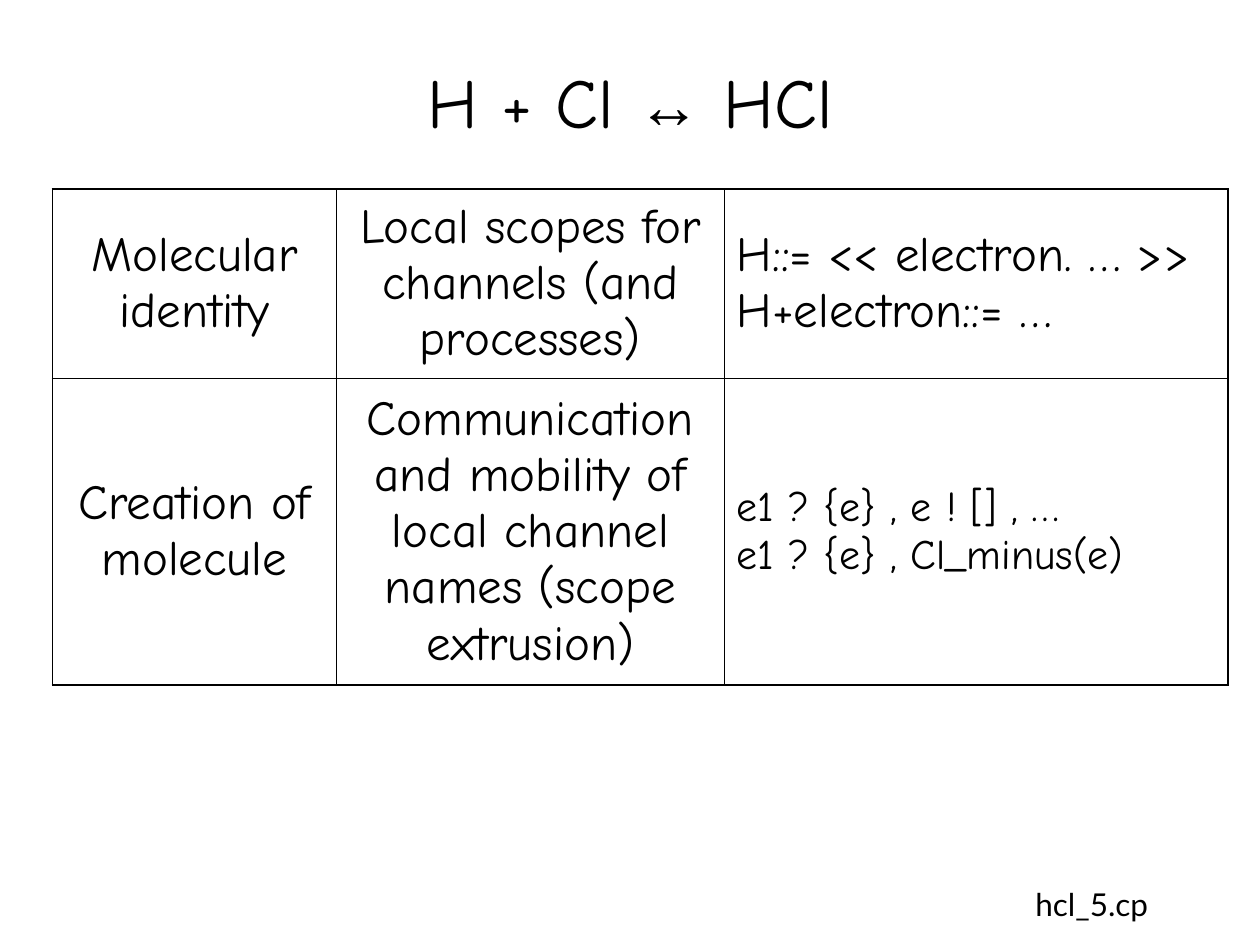
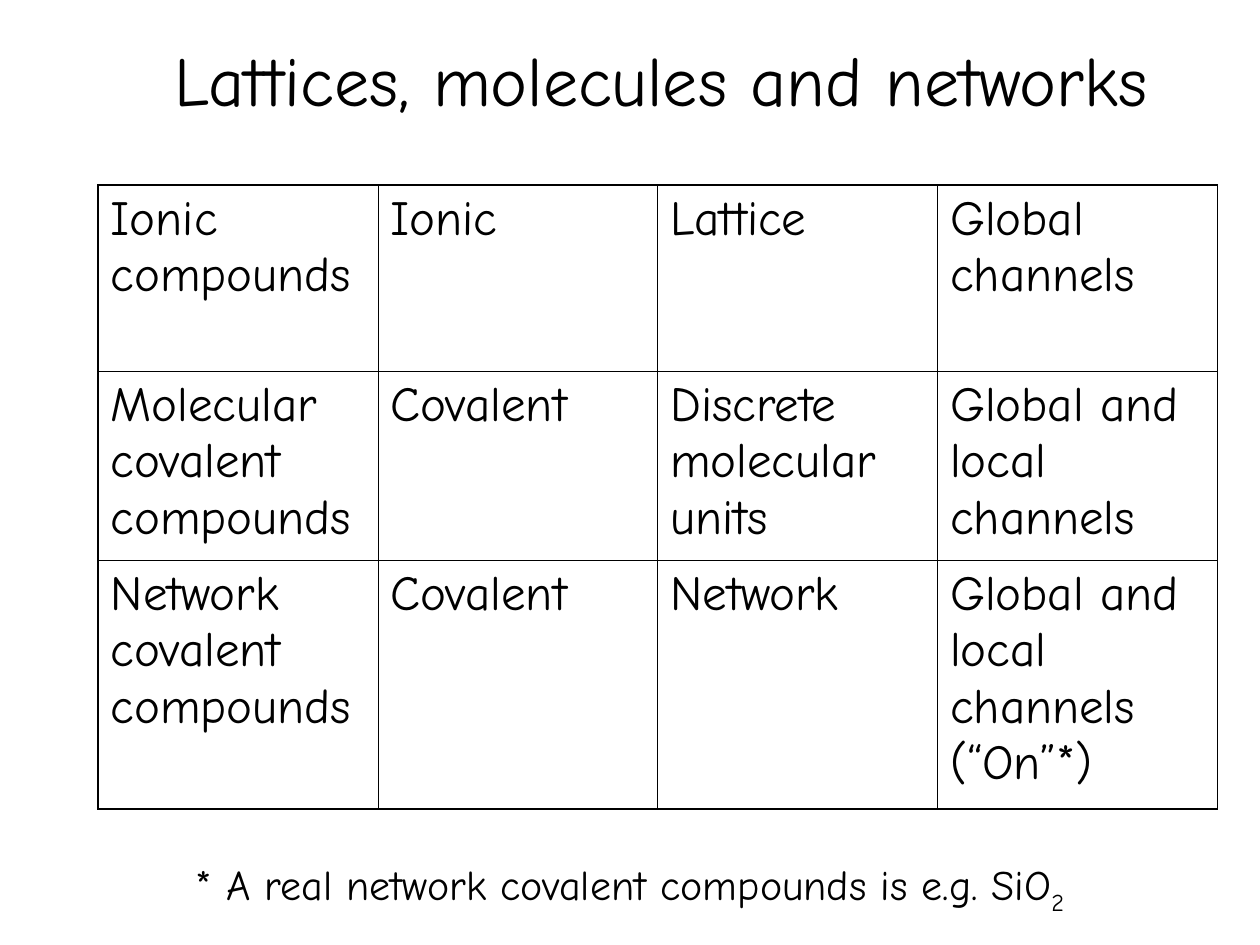
from lxml import etree
from pptx import Presentation
from pptx import util as u
from pptx.dml import color
from pptx.enum import text
from pptx.oxml import ns

BODY_FONT = "Comic Neue"
INK = "000000"
OUTER_LINE = 1.08
INNER_LINE = 0.45
LEFT, CENTER = text.PP_ALIGN.LEFT, text.PP_ALIGN.CENTER
TOP, MIDDLE = text.MSO_ANCHOR.TOP, text.MSO_ANCHOR.MIDDLE


def rgb(hex_code):
    """Turn a hex string into a colour."""
    return color.RGBColor.from_string(hex_code)


def add_run(paragraph, wording, size, font=BODY_FONT, baseline=0):
    """Append one run; baseline is in percent, negative for a subscript."""
    run = paragraph.add_run()
    run.text = wording
    run.font.name = font
    run.font.size = u.Pt(size)
    run.font.color.rgb = rgb(INK)
    if baseline:
        run._r.get_or_add_rPr().set("baseline", str(baseline * 1000))


def add_line(slide, left, top, width, height, runs):
    """Add a centred text box holding one line made of several runs."""
    box = slide.shapes.add_textbox(u.Cm(left), u.Cm(top), u.Cm(width), u.Cm(height))
    frame = box.text_frame
    frame.word_wrap = True
    frame.vertical_anchor = MIDDLE
    paragraph = frame.paragraphs[0]
    paragraph.alignment = CENTER
    for run in runs:
        add_run(paragraph, *run)


def add_title(slide, left, top, width, runs):
    """Add the slide title."""
    add_line(slide, left, top, width, 3.18, runs)


def set_borders(cell, widths):
    """Draw the left, right, top and bottom borders of a cell, in points."""
    properties = cell._tc.get_or_add_tcPr()
    for index, (side, width) in enumerate(zip("LRTB", widths)):
        line = etree.Element(ns.qn(f"a:ln{side}"), w=str(int(u.Pt(width))))
        fill = etree.SubElement(line, ns.qn("a:solidFill"))
        etree.SubElement(fill, ns.qn("a:srgbClr"), val=INK)
        properties.insert(index, line)


def fill_cell(cell, wording, size, alignment, anchor):
    """Write the lines of a cell as paragraphs on a clear background."""
    cell.fill.background()
    cell.vertical_anchor = anchor
    for index, line in enumerate(wording.split("\n")):
        frame = cell.text_frame
        paragraph = frame.add_paragraph() if index else frame.paragraphs[0]
        paragraph.alignment = alignment
        add_run(paragraph, line, size)


def add_grid(slide, left, top, widths, heights, rows, anchor):
    """Add a table with a heavy frame; each cell is wording, size, alignment."""
    table = slide.shapes.add_table(
        len(heights), len(widths), u.Cm(left), u.Cm(top),
        u.Cm(sum(widths)), u.Cm(sum(heights))).table
    table.first_row = table.horz_banding = False
    for column, width in zip(table.columns, widths):
        column.width = u.Cm(width)
    for row, height in zip(table.rows, heights):
        row.height = u.Cm(height)
    last_row, last_column = len(heights) - 1, len(widths) - 1
    for r, row in enumerate(rows):
        for c, (wording, size, alignment) in enumerate(row):
            cell = table.cell(r, c)
            fill_cell(cell, wording, size, alignment, anchor)
            on_frame = (c == 0, c == last_column, r == 0, r == last_row)
            set_borders(cell, [OUTER_LINE if outer else INNER_LINE
                               for outer in on_frame])


def build_reaction(slide):
    """Build the slide on forming the HCl molecule."""
    add_title(slide, 1.9, 0.43, 21.6,
              [("H + Cl ", 40), ("↔", 36, "Arial"), (" HCl", 40)])
    rows = [
        [("Molecular identity", 28, CENTER),
         ("Local scopes for channels (and processes)", 28, CENTER),
         ("H::= << electron. … >>\nH+electron::= …", 28, LEFT)],
        [("Creation of molecule", 28, CENTER),
         ("Communication and mobility of local channel names (scope extrusion)",
          28, CENTER),
         ("e1 ? {e} , e ! [] , …\ne1 ? {e} , Cl_minus(e)", 24, LEFT)],
    ]
    add_grid(slide, 1.06, 3.81, [5.72, 7.82, 10.16], [3.81, 6.19], rows, MIDDLE)
    add_line(slide, 18.62, 17.58, 6.78, 1.27, [("hcl_5.cp", 18, "Lato")])


def build_compounds(slide):
    """Build the slide comparing the kinds of compound."""
    add_title(slide, 1.9, 0, 22.86, [("Lattices, molecules and networks", 40)])
    compounds = [
        ("Ionic compounds", "Ionic", "Lattice", "Global channels"),
        ("Molecular covalent compounds", "Covalent",
         "Discrete molecular units", "Global and local channels"),
        ("Network covalent compounds", "Covalent", "Network",
         "Global and local channels (“On”*)"),
    ]
    rows = [[(wording, 28, LEFT) for wording in row] for row in compounds]
    add_grid(slide, 1.98, 3.73, [5.64] * 4, [3.75, 3.81, 5.02], rows, TOP)
    add_line(slide, 0, 16.72, 25.4, 2.33,
             [("* A real network covalent compounds is e.g. SiO", 24),
              ("2", 24, BODY_FONT, -25)])


def main():
    """Build and save the presentation."""
    presentation = Presentation()
    presentation.slide_width = u.Cm(25.4)
    presentation.slide_height = u.Cm(19.05)
    blank = presentation.slide_layouts[6]
    for build in (build_reaction, build_compounds):
        build(presentation.slides.add_slide(blank))
    presentation.save("out.pptx")


if __name__ == "__main__":
    main()
